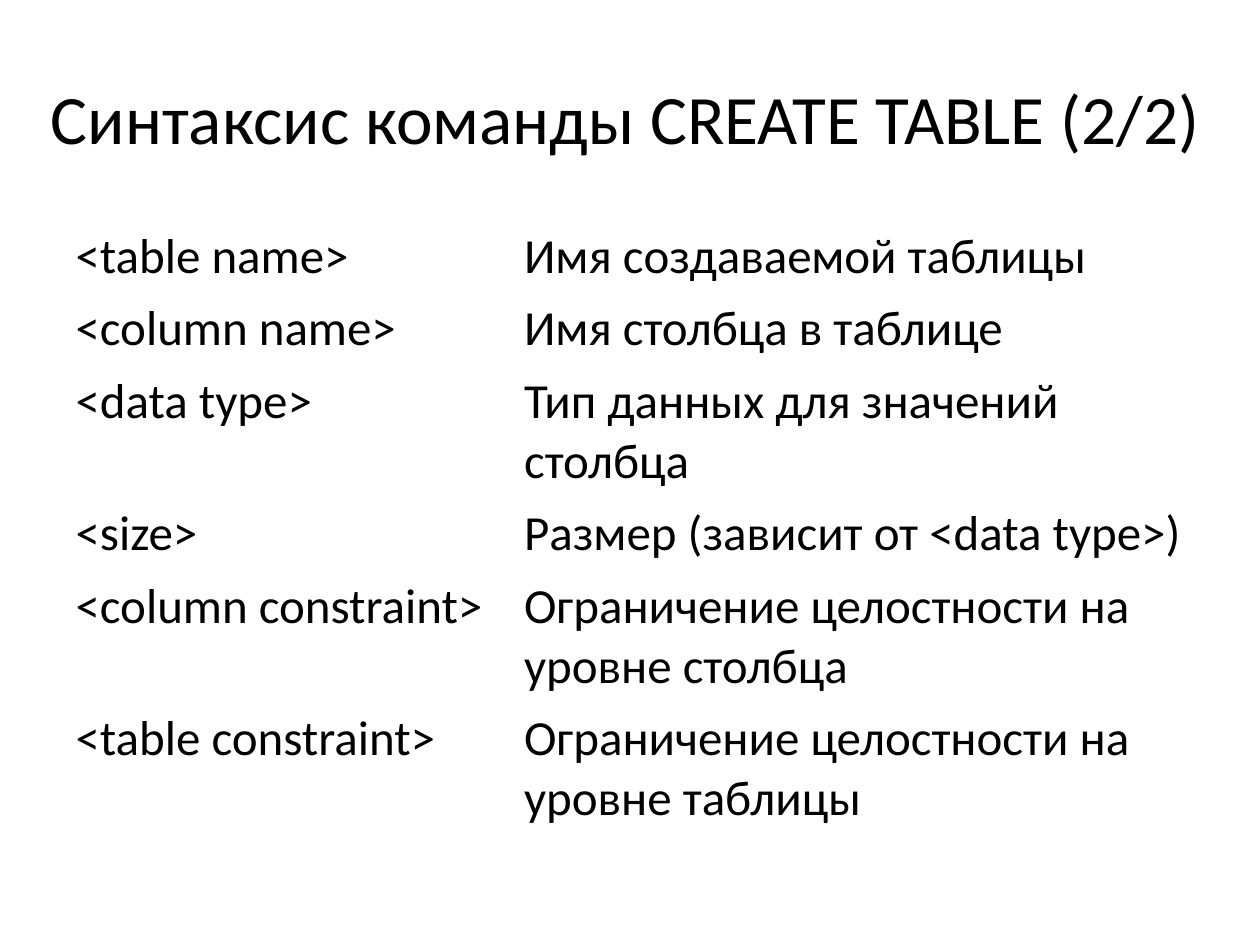
from typing import NamedTuple

from pptx import Presentation
from pptx.dml.color import RGBColor
from pptx.enum.text import MSO_ANCHOR, PP_ALIGN
from pptx.oxml.ns import qn
from pptx.util import Pt

COLORS = {"text": "000000"}
FONT_NAME = "Calibri"
NO_STYLE_NO_GRID = "{2D5ABB26-0587-4C30-8999-92F81FD0307C}"
COLUMN_WIDTHS = (256.3, 391.7)
ROW_HEIGHT = 29.5


class Term(NamedTuple):
    name: str
    meaning: str


TERMS = [
    Term("<table name>", "Имя создаваемой таблицы"),
    Term("<column name>", "Имя столбца в таблице"),
    Term("<data type>", "Тип данных для значений столбца"),
    Term("<size>", "Размер (зависит от <data type>)"),
    Term("<column constraint>", "Ограничение целостности на уровне столбца"),
    Term("<table constraint>", "Ограничение целостности на уровне таблицы"),
]


def write_text(text_frame, text: str, size: float) -> None:
    text_frame.text = text
    for run in text_frame.paragraphs[0].runs:
        run.font.name = FONT_NAME
        run.font.size = Pt(size)
        run.font.color.rgb = RGBColor.from_string(COLORS["text"])


def add_title(slide, text: str) -> None:
    title = slide.shapes.title
    title.left, title.top = Pt(14.4), Pt(21.6)
    title.width, title.height = Pt(686), Pt(90)
    write_text(title.text_frame, text, 39.6)
    title.text_frame.vertical_anchor = MSO_ANCHOR.MIDDLE
    title.text_frame.paragraphs[0].alignment = PP_ALIGN.CENTER


def add_terms_table(slide, terms: list[Term]) -> None:
    frame = slide.shapes.add_table(
        len(terms), len(COLUMN_WIDTHS), Pt(36), Pt(126),
        Pt(sum(COLUMN_WIDTHS)), Pt(ROW_HEIGHT * len(terms)))
    table = frame.table
    table.first_row = table.horz_banding = False
    style = frame._element.find(".//" + qn("a:tableStyleId"))
    style.text = NO_STYLE_NO_GRID

    for column, width in zip(table.columns, COLUMN_WIDTHS):
        column.width = Pt(width)
    for row, term in zip(table.rows, terms):
        row.height = Pt(ROW_HEIGHT)  # rows grow to fit their text
        for cell, text in zip(row.cells, term):
            cell.fill.background()
            write_text(cell.text_frame, text, 28)


def main() -> None:
    presentation = Presentation()
    presentation.slide_width, presentation.slide_height = Pt(720), Pt(540)
    # "Title Only" layout
    slide = presentation.slides.add_slide(presentation.slide_layouts[5])
    add_title(slide, "Синтаксис команды CREATE TABLE (2/2)")
    add_terms_table(slide, TERMS)
    presentation.save("out.pptx")


if __name__ == "__main__":
    main()
